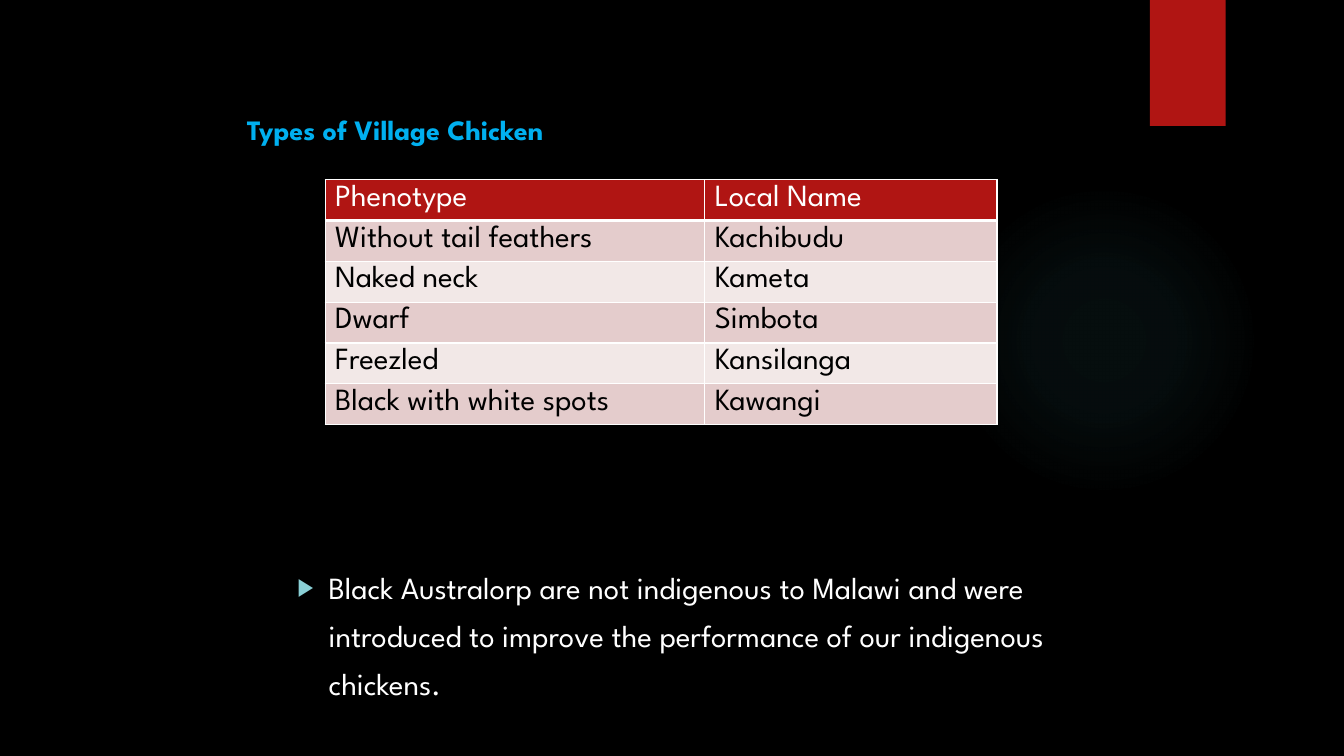
from lxml import etree
from pptx import Presentation, util as u
from pptx.dml.color import RGBColor
from pptx.enum import shapes, text
from pptx.oxml import parse_xml
from pptx.oxml.ns import nsdecls, qn

FONT = "League Spartan"
RED, WHITE, BLACK = "B01513", "FFFFFF", "000000"


def rgb(value):
    return RGBColor.from_string(value)


def style(p, size, color, bold=False):
    for r in p.runs:
        r.font.name = FONT
        r.font.size = u.Pt(size)
        r.font.bold = bold
        r.font.color.rgb = rgb(color)


prs = Presentation()
prs.slide_width, prs.slide_height = u.Emu(12192000), u.Emu(6858000)
COL, ROW = prs.slide_width / 80, prs.slide_height / 45

s = prs.slides.add_slide(prs.slide_layouts[1])
s.background.fill.solid()
s.background.fill.fore_color.rgb = rgb(BLACK)

decor = [
    (shapes.MSO_SHAPE.OVAL, 56.46, 11, 18.5, 18.5),
    (shapes.MSO_SHAPE.RECTANGLE, 68.45, 0, 4.5, 7.5),
]
for i, (kind, x, y, w, h) in enumerate(decor):
    sp = s.shapes.add_shape(kind, int(x * COL), int(y * ROW), int(w * COL), int(h * ROW))
    sp.shadow.inherit = False
    sp.line.fill.background()
    s.shapes._spTree.insert(2 + i, sp._element)
    if kind == shapes.MSO_SHAPE.RECTANGLE:
        sp.fill.solid()
        sp.fill.fore_color.rgb = rgb(RED)
    else:
        stops = "".join(
            f'<a:gs pos="{pos}000"><a:srgbClr val="50B9C1"><a:alpha val="{alpha}000"/></a:srgbClr></a:gs>'
            for pos, alpha in [(0, 7), (36, 6), (69, 0)]
        )
        glow = parse_xml(
            f'<a:gradFill {nsdecls("a")} rotWithShape="1"><a:gsLst>{stops}</a:gsLst>'
            '<a:path path="circle"><a:fillToRect l="50000" t="50000" r="50000" b="50000"/></a:path></a:gradFill>'
        )
        sp._element.spPr.find(qn("a:prstGeom")).addnext(glow)

title, body = s.placeholders[0], s.placeholders[1]
blocks = [
    (title, 5.8, 3, "Types of Village Chicken", 20, "00B0F0", True),
    (body, 32.9, 7.66, "Black Australorp are not indigenous to Malawi and were introduced "
     "to improve the performance of our indigenous chickens.", 22, WHITE, False),
]
for sp, y, h, words, size, color, bold in blocks:
    sp.left, sp.top = int(14.1 * COL), int(y * ROW)
    sp.width, sp.height = int(51.7 * COL), int(h * ROW)
    tf = sp.text_frame
    tf.text = words
    tf.word_wrap = True
    tf.auto_size = text.MSO_AUTO_SIZE.NONE
    tf.vertical_anchor = text.MSO_ANCHOR.TOP
    p = tf.paragraphs[0]
    p.alignment = text.PP_ALIGN.LEFT
    p.space_before = u.Pt(0)
    p.line_spacing = 1.3
    style(p, size, color, bold)

p = body.text_frame.paragraphs[0]
p.level = 1
pPr = p._p.get_or_add_pPr()
pPr.set("marL", str(u.Inches(0.81)))
pPr.set("indent", str(u.Inches(-0.31)))
color = etree.SubElement(pPr, qn("a:buClr"))
etree.SubElement(color, qn("a:srgbClr"), val="8AD0D6")
etree.SubElement(pPr, qn("a:buSzPct"), val="80000")
etree.SubElement(pPr, qn("a:buFont"), typeface="Arial")
etree.SubElement(pPr, qn("a:buChar"), char="▶")

rows = [
    ("Phenotype", "Local Name"),
    ("Without tail feathers", "Kachibudu"),
    ("Naked neck", "Kameta"),
    ("Dwarf", "Simbota"),
    ("Freezled", "Kansilanga"),
    ("Black with white spots", "Kawangi"),
]
widths = [22.6, 17.4]
frame = s.shapes.add_table(
    len(rows), len(widths), int(19.35 * COL), int(10.7 * ROW),
    int(sum(widths) * COL), int(len(rows) * 2.43 * ROW),
)
table = frame.table
table.horz_banding = False
for column, w in zip(table.columns, widths):
    column.width = int(w * COL)

for i, row in enumerate(rows):
    for j, words in enumerate(row):
        cell = table.cell(i, j)
        cell.text = words
        style(cell.text_frame.paragraphs[0], 22, BLACK if i else WHITE)
        tcPr = cell._tc.get_or_add_tcPr()
        for side in ("lnL", "lnR", "lnT", "lnB"):
            width = 3 if i == 0 and side == "lnB" else 1
            ln = etree.SubElement(tcPr, qn(f"a:{side}"), w=str(u.Pt(width)))
            fill = etree.SubElement(ln, qn("a:solidFill"))
            etree.SubElement(fill, qn("a:srgbClr"), val=WHITE)
        cell.fill.solid()
        cell.fill.fore_color.rgb = rgb(RED if i == 0 else "E4CCCC" if i % 2 else "F2E8E7")

prs.save("out.pptx")
